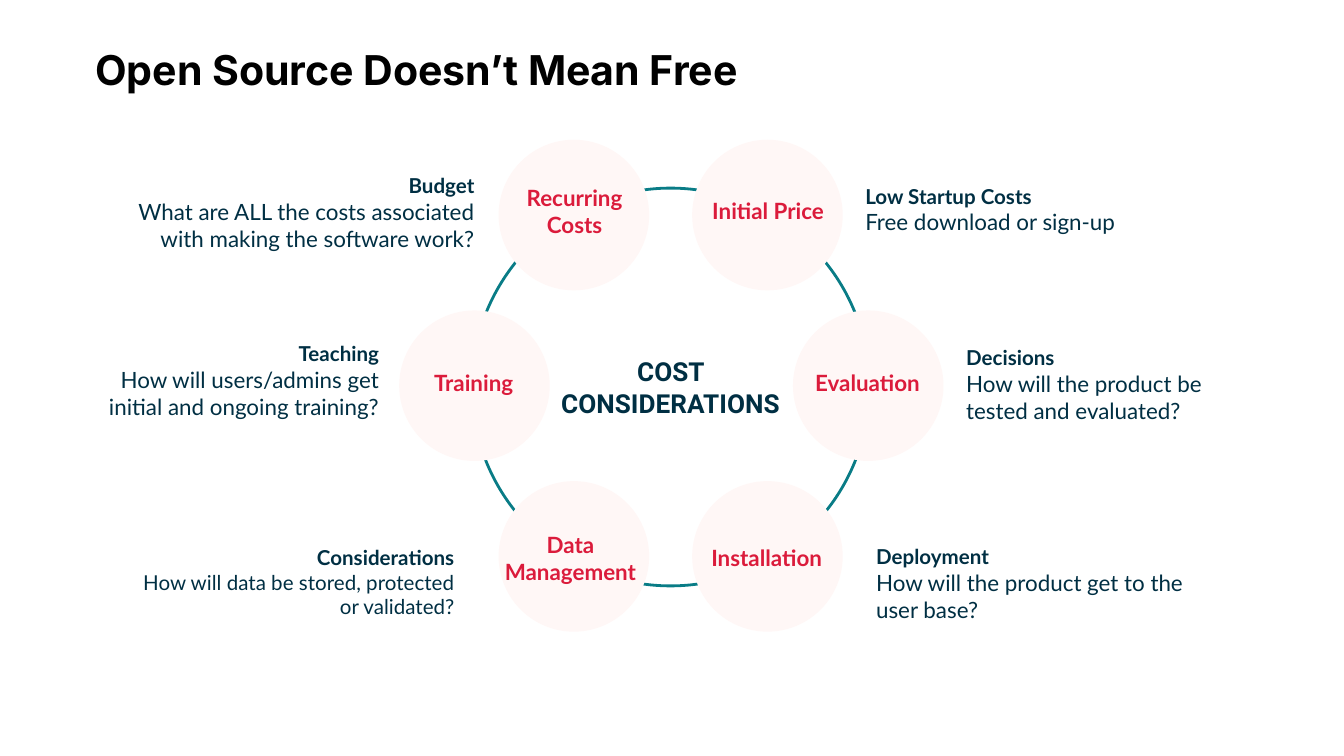
"""Build the slide on the cost considerations of open source software."""
import pptx
import pptx.dml.color
import pptx.enum.shapes
import pptx.enum.text
import pptx.util

Inches = pptx.util.Inches
Pt = pptx.util.Pt
RGBColor = pptx.dml.color.RGBColor
ALIGN = pptx.enum.text.PP_ALIGN
ANCHOR = pptx.enum.text.MSO_ANCHOR
OVAL = pptx.enum.shapes.MSO_SHAPE.OVAL

BLACK = RGBColor(0x00, 0x00, 0x00)
NAVY = RGBColor(0x00, 0x2F, 0x43)
TEAL = RGBColor(0x09, 0x7C, 0x86)
RED = RGBColor(0xDB, 0x1B, 0x3B)
BLUSH = RGBColor(0xFF, 0xF7, 0xF6)


def format_frame(tf, anchor):
    tf.word_wrap = True
    tf.auto_size = pptx.enum.text.MSO_AUTO_SIZE.NONE
    tf.vertical_anchor = anchor
    tf.margin_left = tf.margin_right = Inches(0.1)
    tf.margin_top = tf.margin_bottom = Inches(0.1)


def add_run(p, text, font, size, color, bold, align):
    p.alignment = align
    r = p.add_run()
    r.text = text
    r.font.name = font
    r.font.size = Pt(size)
    r.font.bold = bold
    r.font.color.rgb = color


prs = pptx.Presentation()
prs.slide_width = Inches(10)
prs.slide_height = Inches(10) * 9 // 16
slide = prs.slides.add_slide(prs.slide_layouts[5])

title = slide.shapes.title
title.left, title.top = Inches(0.61), Inches(0.23)
title.width, title.height = Inches(8.36), Inches(0.54)
format_frame(title.text_frame, ANCHOR.TOP)
add_run(title.text_frame.paragraphs[0], "Open Source Doesn’t Mean Free",
        "Inter", 22, BLACK, True, ALIGN.LEFT)

ring = slide.shapes.add_shape(OVAL, Inches(3.51), Inches(1.4), Inches(2.96), Inches(2.96))
ring.shadow.inherit = False
ring.fill.background()
ring.line.color.rgb = TEAL
ring.line.width = Pt(1.5)
format_frame(ring.text_frame, ANCHOR.MIDDLE)
add_run(ring.text_frame.paragraphs[0], "COST CONSIDERATIONS",
        "Roboto", 14, NAVY, True, ALIGN.CENTER)

circles = [(5.15, 1.04), (5.15, 3.58), (3.71, 3.58), (5.9, 2.31), (2.97, 2.31), (3.71, 1.04)]
for x, y in circles:
    sp = slide.shapes.add_shape(OVAL, Inches(x), Inches(y), Inches(1.12), Inches(1.12))
    sp.shadow.inherit = False
    sp.fill.solid()
    sp.fill.fore_color.rgb = BLUSH
    sp.line.fill.background()

labels = [
    (3.65, 1.39, 1.25, "Recurring Costs"),
    (5.09, 1.39, 1.25, "Initial Price"),
    (5.74, 2.67, 1.43, "Evaluation"),
    (4.99, 3.97, 1.43, "Installation"),
    (3.53, 3.97, 1.43, "Data Management"),
    (2.81, 2.67, 1.43, "Training"),
]
for x, y, width, label in labels:
    sp = slide.shapes.add_textbox(Inches(x), Inches(y), Inches(width), Inches(0.36))
    format_frame(sp.text_frame, ANCHOR.MIDDLE)
    add_run(sp.text_frame.paragraphs[0], label, "Lato", 12, RED, True, ALIGN.CENTER)

notes = [
    (0.93, 1.22, 2.7, ALIGN.RIGHT, 12, "Budget",
     "What are ALL the costs associated with making the software work?"),
    (6.34, 1.2, 2.7, ALIGN.LEFT, 12, "Low Startup Costs", "Free download or sign-up"),
    (7.09, 2.5, 2.35, ALIGN.LEFT, 12, "Decisions",
     "How will the product be tested and evaluated?"),
    (6.42, 3.98, 2.55, ALIGN.LEFT, 12, "Deployment",
     "How will the product get to the user base?"),
    (0.93, 3.97, 2.55, ALIGN.RIGHT, 11, "Considerations",
     "How will data be stored, protected or validated?"),
    (0.57, 2.47, 2.35, ALIGN.RIGHT, 12, "Teaching",
     "How will users/admins get initial and ongoing training?"),
]
for x, y, width, align, size, heading, detail in notes:
    sp = slide.shapes.add_textbox(Inches(x), Inches(y), Inches(width), Inches(0.72))
    tf = sp.text_frame
    format_frame(tf, ANCHOR.MIDDLE)
    add_run(tf.paragraphs[0], heading, "Lato", 11, NAVY, True, align)
    add_run(tf.add_paragraph(), detail, "Lato", size, NAVY, False, align)

prs.save("out.pptx")
